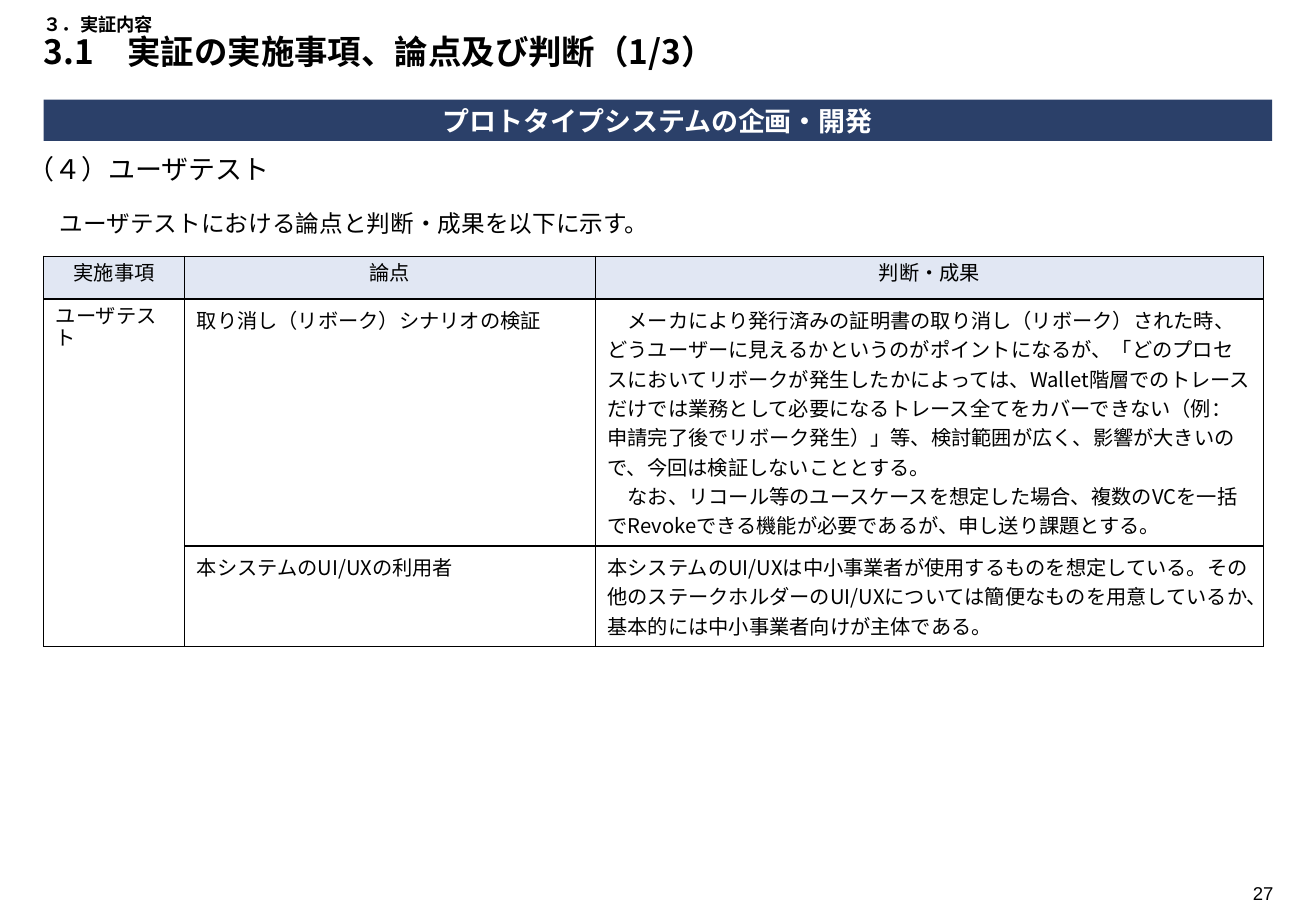
import pptx
import pptx.dml.color
import pptx.enum.shapes
import pptx.enum.text
import pptx.oxml.ns
import pptx.util
from lxml import etree
from pptx.util import Inches

RGBColor = pptx.dml.color.RGBColor
BLACK = RGBColor(0x00, 0x00, 0x00)
WHITE = RGBColor(0xFF, 0xFF, 0xFF)
NAVY = RGBColor(0x2B, 0x40, 0x69)
PALE_BLUE = RGBColor(0xE1, 0xE7, 0xF3)
ARIAL = "Arial"
NOTO = "Noto Sans CJK JP"
LEFT = pptx.enum.text.PP_ALIGN.LEFT
CENTER = pptx.enum.text.PP_ALIGN.CENTER
RIGHT = pptx.enum.text.PP_ALIGN.RIGHT
TOP = pptx.enum.text.MSO_ANCHOR.TOP
MIDDLE = pptx.enum.text.MSO_ANCHOR.MIDDLE
qn = pptx.oxml.ns.qn

HEADERS = ["実施事項", "論点", "判断・成果"]
REVOCATION = (
    "\u3000メーカにより発行済みの証明書の取り消し（リボーク）された時、"
    "どうユーザーに見えるかというのがポイントになるが、"
    "「どのプロセスにおいてリボークが発生したかによっては、"
    "Wallet階層でのトレースだけでは業務として必要になるトレース全てをカバーできない"
    "（例：申請完了後でリボーク発生）」等、検討範囲が広く、影響が大きいので、"
    "今回は検証しないこととする。\n"
    "\u3000なお、リコール等のユースケースを想定した場合、"
    "複数のVCを一括でRevokeできる機能が必要であるが、申し送り課題とする。"
).replace("\\u3000", "　")
USERS = (
    "本システムのUI/UXは中小事業者が使用するものを想定している。"
    "その他のステークホルダーのUI/UXについては簡便なものを用意しているか、"
    "基本的には中小事業者向けが主体である。"
)
ROWS = [
    ["ユーザテスト", "取り消し（リボーク）シナリオの検証", REVOCATION],
    ["", "本システムのUI/UXの利用者", USERS],
]
COLUMN_WIDTHS = [1.16, 3.38, 5.5]
ROW_HEIGHTS = [0.35, 2.03, 0.83]


def format_paragraph(p, size, name, color=BLACK, bold=False, align=LEFT):
    p.alignment = align
    p.font.size = pptx.util.Pt(size)
    p.font.name = name
    p.font.bold = bold
    p.font.color.rgb = color
    latin = p._p.pPr.find(qn("a:defRPr")).find(qn("a:latin"))
    ea = etree.Element(qn("a:ea"), typeface=name)
    latin.addnext(ea)


def set_margins(tf, side, edge):
    tf.margin_left = tf.margin_right = Inches(side)
    tf.margin_top = tf.margin_bottom = Inches(edge)


def add_text(s, box, text, size, name, side=0, align=LEFT):
    tf = s.shapes.add_textbox(*map(Inches, box)).text_frame
    tf.word_wrap = True
    set_margins(tf, side, 0.05)
    tf.text = text
    format_paragraph(tf.paragraphs[0], size, name, align=align)


def set_title(s, section, heading):
    sp = s.shapes.title
    sp.left, sp.top, sp.width, sp.height = map(Inches, (0.36, 0.08, 10.11, 0.87))
    tf = sp.text_frame
    tf.word_wrap = True
    tf.auto_size = pptx.enum.text.MSO_AUTO_SIZE.NONE
    tf.vertical_anchor = TOP
    set_margins(tf, 0, 0.05)
    tf.text = section + "\n" + heading
    for p, size in zip(tf.paragraphs, (10.8, 19.8)):
        format_paragraph(p, size, NOTO, bold=True)
        p.line_spacing = 0.9
        p.space_before = pptx.util.Pt(0)


def add_banner(s, text):
    sp = s.shapes.add_shape(
        pptx.enum.shapes.MSO_SHAPE.RECTANGLE,
        Inches(0.36), Inches(0.82), Inches(10.11), Inches(0.34))
    sp.shadow.inherit = False
    sp.fill.solid()
    sp.fill.fore_color.rgb = NAVY
    sp.line.fill.background()
    tf = sp.text_frame
    tf.word_wrap = True
    tf.vertical_anchor = MIDDLE
    set_margins(tf, 0.04, 0.04)
    tf.text = text
    format_paragraph(tf.paragraphs[0], 16, ARIAL, WHITE, True, CENTER)


def set_borders(cell):
    tcPr = cell._tc.get_or_add_tcPr()
    for i, side in enumerate(("a:lnL", "a:lnR", "a:lnT", "a:lnB")):
        ln = etree.Element(qn(side), w=str(pptx.util.Pt(1)))
        fill = etree.SubElement(ln, qn("a:solidFill"))
        etree.SubElement(fill, qn("a:srgbClr"), val=str(BLACK))
        tcPr.insert(i, ln)


def fill_cell(cell, text, name, color, align):
    cell.fill.solid()
    cell.fill.fore_color.rgb = color
    set_borders(cell)
    cell.text = text
    for p in cell.text_frame.paragraphs:
        format_paragraph(p, 12, name, align=align)


def add_issue_table(s):
    table = s.shapes.add_table(
        len(ROW_HEIGHTS), len(COLUMN_WIDTHS), Inches(0.36), Inches(2.11),
        Inches(sum(COLUMN_WIDTHS)), Inches(sum(ROW_HEIGHTS))).table
    table.first_row = table.horz_banding = False
    for column, width in zip(table.columns, COLUMN_WIDTHS):
        column.width = Inches(width)
    for row, height in zip(table.rows, ROW_HEIGHTS):
        row.height = Inches(height)
    for c, text in enumerate(HEADERS):
        fill_cell(table.cell(0, c), text, ARIAL, PALE_BLUE, CENTER)
    for r, texts in enumerate(ROWS, 1):
        for c, text in enumerate(texts):
            fill_cell(table.cell(r, c), text, NOTO if c else ARIAL, WHITE, LEFT)
    table.cell(1, 0).merge(table.cell(2, 0))


def main():
    prs = pptx.Presentation()
    prs.slide_width = Inches(10.83)
    prs.slide_height = Inches(7.5)
    s = prs.slides.add_slide(prs.slide_layouts[5])
    set_title(s, "３．実証内容", "3.1　実証の実施事項、論点及び判断（1/3）")
    add_issue_table(s)
    add_banner(s, "プロトタイプシステムの企画・開発")
    add_text(s, (0.13, 1.21, 5.41, 0.37), "（４）ユーザテスト", 16, NOTO, side=0.1)
    add_text(s, (0.49, 1.67, 10.11, 0.34),
             "ユーザテストにおける論点と判断・成果を以下に示す。", 14, NOTO)
    add_text(s, (10, 7.21, 0.48, 0.29), "27", 11, ARIAL, align=RIGHT)
    prs.save("out.pptx")


if __name__ == "__main__":
    main()
